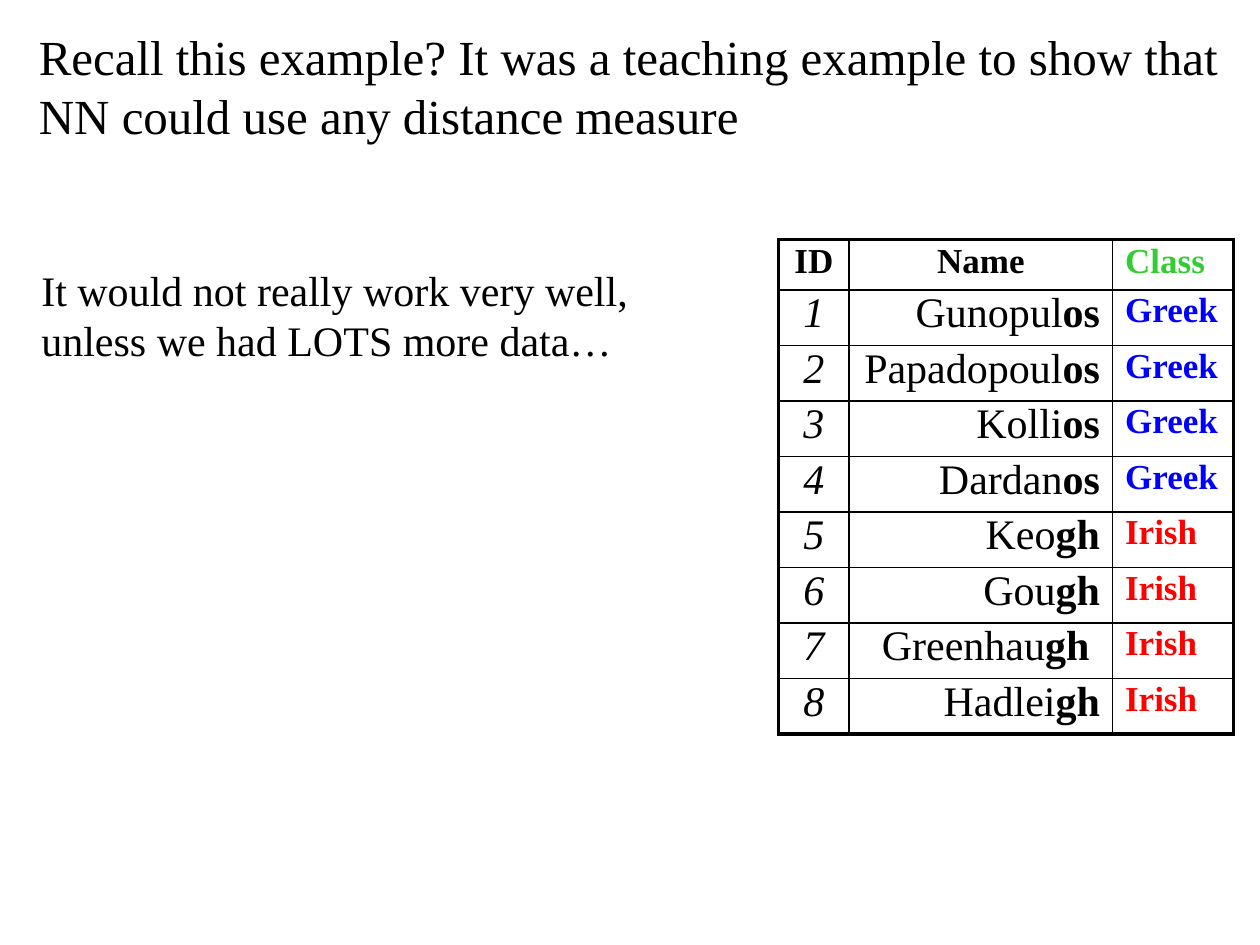
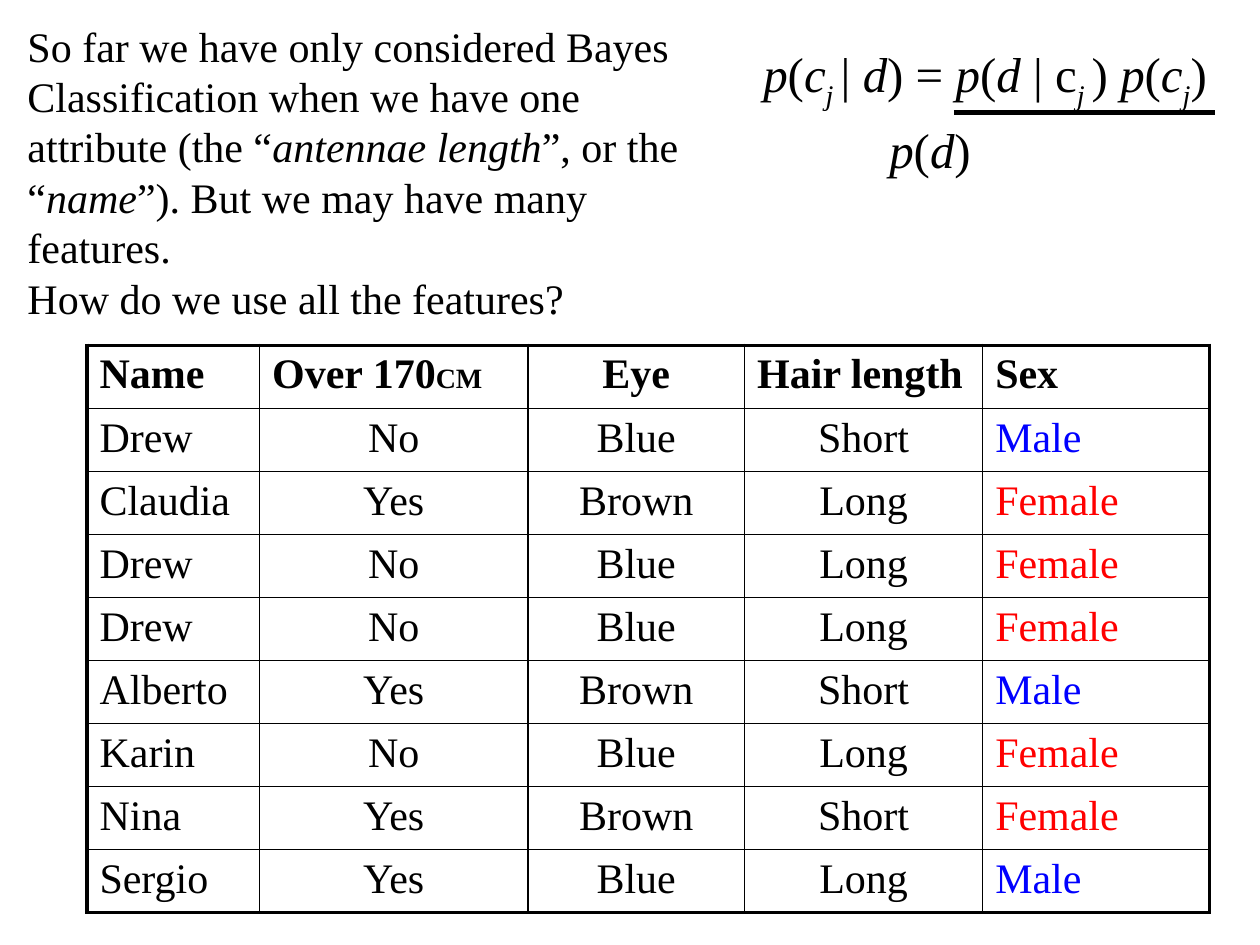
from dataclasses import dataclass

from lxml.etree import SubElement
from pptx import Presentation
from pptx.dml.color import RGBColor as RGB
from pptx.enum.shapes import MSO_CONNECTOR as Connector
from pptx.enum.text import PP_ALIGN as Align
from pptx.oxml.ns import qn
from pptx.util import Inches, Pt


@dataclass(frozen=True)
class Theme:
    font: str = "Times New Roman"
    black: RGB = RGB(0x00, 0x00, 0x00)
    blue: RGB = RGB(0x00, 0x00, 0xFF)
    red: RGB = RGB(0xFF, 0x00, 0x00)
    green: RGB = RGB(0x33, 0xCC, 0x33)
    title: int = 28
    body: int = 24
    label: int = 20
    unit: int = 16
    frame: float = 2.25
    rule: float = 1
    fraction_bar: float = 2.75


theme = Theme()
deck = Presentation()
deck.slide_width, deck.slide_height = Inches(10), Inches(7.5)
blank = deck.slide_layouts[6]
# Every place and length counts steps of a grid of 100 columns and 75 rows.
COL, ROW = deck.slide_width // 100, deck.slide_height // 75


def write(frame, *paragraphs, size=theme.body, color=theme.black, bold=False,
          italic=False, align=Align.LEFT, spacing=None, indents=()):
    """Fill a frame; a paragraph is a string or a list of (text, marks) pairs.

    Marks: b bold, i italic, s subscript, u small unit.
    """
    frame.word_wrap = True
    for number, content in enumerate(paragraphs):
        line = frame.paragraphs[0] if number == 0 else frame.add_paragraph()
        line.alignment, line.line_spacing = align, spacing
        if number < len(indents):
            line._p.get_or_add_pPr().set("marL", str(int(indents[number] * COL)))
        for text, marks in [(content, "")] if isinstance(content, str) else content:
            run = line.add_run()
            run.text = text
            font = run.font
            font.name, font.color.rgb = theme.font, color
            font.size = Pt(theme.unit if "u" in marks else size)
            font.bold = bold or "b" in marks
            font.italic = italic or "i" in marks
            if "s" in marks:
                run._r.get_or_add_rPr().set("baseline", "-25000")


def draw_table(slide, left, top, columns, heights, rows):
    """Draw a framed table; each cell is a (content, format) pair."""
    table = slide.shapes.add_table(
        len(rows), len(columns), int(left * COL), int(top * ROW),
        int(sum(columns) * COL), int(sum(heights) * ROW)).table
    table.first_row = table.horz_banding = False
    for column, width in zip(table.columns, columns):
        column.width = int(width * COL)
    for r, (height, cells) in enumerate(zip(heights, rows)):
        table.rows[r].height = int(height * ROW)
        for c, (content, style) in enumerate(cells):
            cell = table.cell(r, c)
            write(cell.text_frame, content, **style)
            outer = {"L": c == 0, "R": c == len(columns) - 1,
                     "T": r == 0, "B": r == len(rows) - 1}
            for side, is_outer in outer.items():
                weight = Pt(theme.frame if is_outer else theme.rule)
                border = SubElement(cell._tc.get_or_add_tcPr(), qn("a:ln" + side), w=str(weight))
                SubElement(SubElement(border, qn("a:solidFill")), qn("a:srgbClr"),
                           val=str(theme.black))
            cell.fill.background()


# Slide 1: classifying surnames
surnames_slide = deck.slides.add_slide(blank)
remarks = [
    ((2.1, 1.6, 97.9, 10.3), theme.title,
     "Recall this example? It was a teaching example to show that NN could use any distance measure"),
    ((2.3, 20.5, 52.7, 9), theme.body,
     "It would not really work very well, unless we had LOTS more data…"),
]
for (x, y, w, h), size, remark in remarks:
    box = surnames_slide.shapes.add_textbox(int(x * COL), int(y * ROW), int(w * COL), int(h * ROW))
    write(box.text_frame, remark, size=size)

surnames = [("Gunopul", "os"), ("Papadopoul", "os"), ("Kolli", "os"), ("Dardan", "os"),
            ("Keo", "gh"), ("Gou", "gh"), ("Greenhau", "gh "), ("Hadlei", "gh")]
heading = dict(size=theme.label, bold=True, spacing=0.9)
surname_rows = [[("ID", heading | dict(align=Align.CENTER)),
                 ("Name", heading | dict(align=Align.CENTER)),
                 ("Class", heading | dict(color=theme.green))]]
for number, (stem, ending) in enumerate(surnames, start=1):
    origin, color = ("Greek", theme.blue) if ending == "os" else ("Irish", theme.red)
    surname_rows.append([
        (str(number), dict(italic=True, align=Align.CENTER, spacing=0.85)),
        ([(stem, ""), (ending, "b")], dict(align=Align.RIGHT, spacing=0.85)),
        (origin, dict(size=theme.label, color=color, bold=True, spacing=0.85)),
    ])
draw_table(surnames_slide, 61.8, 19, [5.6, 20.9, 9.6], [4] + [4.4] * len(surnames), surname_rows)

# Slide 2: several features at once
features_slide = deck.slides.add_slide(blank)
people = [
    ("Drew", "No", "Blue", "Short", "Male"),
    ("Claudia", "Yes", "Brown", "Long", "Female"),
    ("Drew", "No", "Blue", "Long", "Female"),
    ("Drew", "No", "Blue", "Long", "Female"),
    ("Alberto", "Yes", "Brown", "Short", "Male"),
    ("Karin", "No", "Blue", "Long", "Female"),
    ("Nina", "Yes", "Brown", "Short", "Female"),
    ("Sergio", "Yes", "Blue", "Long", "Male"),
]
sex_colors = {"Male": theme.blue, "Female": theme.red}
feature_names = ["Name", [("Over 170", ""), ("CM", "u")], "Eye", "Hair length", "Sex"]
people_rows = [[(name, dict(bold=True, align=Align.CENTER if name == "Eye" else Align.LEFT))
                for name in feature_names]]
for name, *features, sex in people:
    people_rows.append([(name, {})]
                       + [(feature, dict(align=Align.CENTER)) for feature in features]
                       + [(sex, dict(color=sex_colors[sex]))])
draw_table(features_slide, 6.9, 27.4, [13.7, 21.3, 17.2, 18.9, 18], [5] * len(people_rows), people_rows)

numerator = [("p", "i"), ("(", ""), ("c", "i"), ("j ", "is"), ("| ", ""), ("d", "i"), (") = ", ""),
             ("p", "i"), ("(", ""), ("d ", "i"), ("| c", ""), ("j ", "is"), (") ", ""),
             ("p", "i"), ("(", ""), ("c", "i"), ("j", "is"), (")", "")]
denominator = [("p", "i"), ("(", ""), ("d", "i"), (")", "")]
question = [("So far we have only considered Bayes Classification when we have one attribute (the “", ""),
            ("antennae length", "i"), ("”, or the “", ""), ("name", "i"),
            ("”). But we may have many features.", "")]
passages = [
    ((59.6, 2.2, 39, 14), (numerator, denominator),
     dict(size=theme.title, spacing=1.15, indents=(0, 10))),
    ((1.2, 1.1, 56.4, 25), (question, "How do we use all the features?"), {}),
]
for (x, y, w, h), paragraphs, style in passages:
    box = features_slide.shapes.add_textbox(int(x * COL), int(y * ROW), int(w * COL), int(h * ROW))
    write(box.text_frame, *paragraphs, **style)

bar_y = int(8.9 * ROW)
fraction_bar = features_slide.shapes.add_connector(
    Connector.STRAIGHT, int(75.7 * COL), bar_y, int(96.4 * COL), bar_y)
fraction_bar.line.color.rgb = theme.black
fraction_bar.line.width = Pt(theme.fraction_bar)
SubElement(fraction_bar._element.spPr, qn("a:effectLst"))

deck.save("out.pptx")
